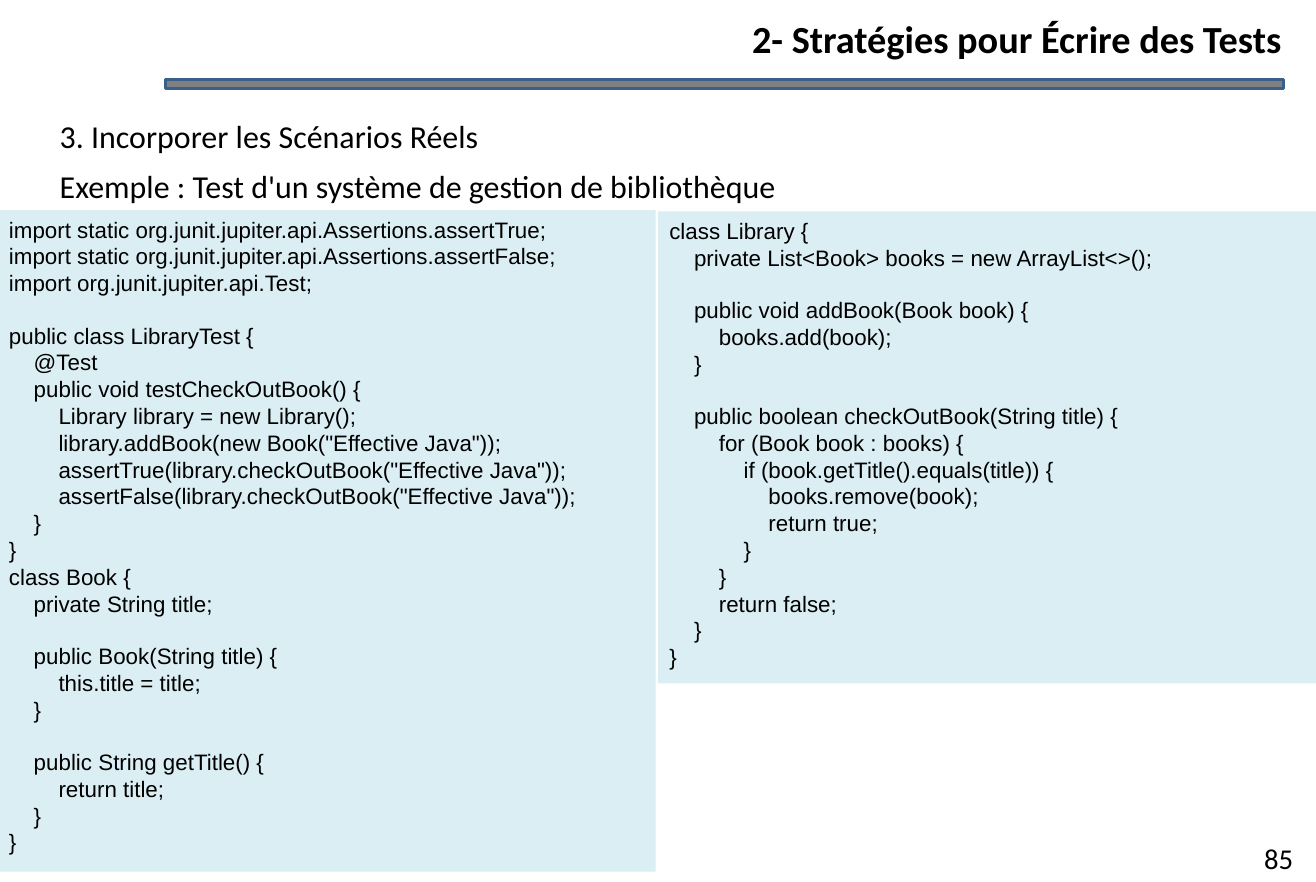
from pptx import Presentation, util as u
from pptx.dml.color import RGBColor
from pptx.enum import shapes, text

BLACK = RGBColor(0x00, 0x00, 0x00)
GREY = RGBColor(0x80, 0x80, 0x80)
BLUE = RGBColor(0x3A, 0x5F, 0x8C)
PALE_BLUE = RGBColor(0xDB, 0xEE, 0xF4)
LEFT, CENTER, RIGHT = text.PP_ALIGN.LEFT, text.PP_ALIGN.CENTER, text.PP_ALIGN.RIGHT

TEST_AND_BOOK = '''import static org.junit.jupiter.api.Assertions.assertTrue;
import static org.junit.jupiter.api.Assertions.assertFalse;
import org.junit.jupiter.api.Test;

public class LibraryTest {
    @Test
    public void testCheckOutBook() {
        Library library = new Library();
        library.addBook(new Book("Effective Java"));
        assertTrue(library.checkOutBook("Effective Java"));
        assertFalse(library.checkOutBook("Effective Java"));
    }
}
class Book {
    private String title;

    public Book(String title) {
        this.title = title;
    }

    public String getTitle() {
        return title;
    }
}'''

LIBRARY = '''class Library {
    private List<Book> books = new ArrayList<>();

    public void addBook(Book book) {
        books.add(book);
    }

    public boolean checkOutBook(String title) {
        for (Book book : books) {
            if (book.getTitle().equals(title)) {
                books.remove(book);
                return true;
            }
        }
        return false;
    }
}'''


class SlideBuilder:
    """Draws styled elements on the current slide, with 100 px to the inch."""

    PX = 9144
    CODE_SIZE = 14
    CODE_LINE = 16

    def __init__(self, width, height):
        self.presentation = Presentation()
        self.presentation.slide_width = width * self.PX
        self.presentation.slide_height = height * self.PX
        self.slide = self.presentation.slides.add_slide(self.presentation.slide_layouts[6])

    def scale(self, box):
        return [length * self.PX for length in box]

    def rectangle(self, box, fill, line=None):
        shape = self.slide.shapes.add_shape(shapes.MSO_SHAPE.RECTANGLE, *self.scale(box))
        shape.shadow.inherit = False
        shape.fill.solid()
        shape.fill.fore_color.rgb = fill
        if line is None:
            shape.line.fill.background()
        else:
            shape.line.color.rgb = line
            shape.line.width = u.Pt(2)
        return shape

    def add_words(self, paragraph, words, size, font="Calibri", align=LEFT, bold=False):
        paragraph.alignment = align
        run = paragraph.add_run()
        run.text = words
        run.font.name = font
        run.font.size = u.Pt(size)
        run.font.bold = bold
        run.font.color.rgb = BLACK

    def text_box(self, box, lines, size, margins=(10, 5, 10, 5), spacing=1, before=0, **style):
        frame = self.slide.shapes.add_textbox(*self.scale(box)).text_frame
        frame.word_wrap = True
        (frame.margin_left, frame.margin_top,
         frame.margin_right, frame.margin_bottom) = self.scale(margins)
        for index, words in enumerate(lines):
            paragraph = frame.add_paragraph() if index else frame.paragraphs[0]
            paragraph.line_spacing = spacing
            paragraph.space_before = u.Pt(before if index else 0)
            self.add_words(paragraph, words, size, **style)

    def code_panel(self, box, code):
        frame = self.rectangle(box, PALE_BLUE).text_frame
        frame.word_wrap = True
        frame.vertical_anchor = text.MSO_ANCHOR.TOP
        for block_index, block in enumerate(code.split("\n\n")):
            for line_index, line in enumerate(block.split("\n")):
                first = block_index == line_index == 0
                paragraph = frame.paragraphs[0] if first else frame.add_paragraph()
                if block_index and not line_index:
                    paragraph.space_before = u.Pt(self.CODE_LINE)
                self.add_words(paragraph, line, self.CODE_SIZE, font="Arial")


def main():
    builder = SlideBuilder(1146, 768)
    builder.rectangle((144, 69, 974, 8), GREY, BLUE)
    builder.text_box((195, 13, 921, 40), ["2- Stratégies pour Écrire des Tests"], 24,
                     margins=(0, 0, 0, 0), align=RIGHT, bold=True)
    builder.text_box((1081, 727, 65, 41), ["85"], 18, align=CENTER)
    builder.text_box((22, 92, 1102, 91),
                     ["3. Incorporer les Scénarios Réels",
                      "Exemple : Test d'un système de gestion de bibliothèque"],
                     20, margins=(30, 5, 10, 5), spacing=1.15, before=3.5)
    builder.code_panel((-2, 183, 573, 576), TEST_AND_BOOK)
    builder.code_panel((573, 184, 573, 411), LIBRARY)
    builder.presentation.save("out.pptx")


if __name__ == "__main__":
    main()
